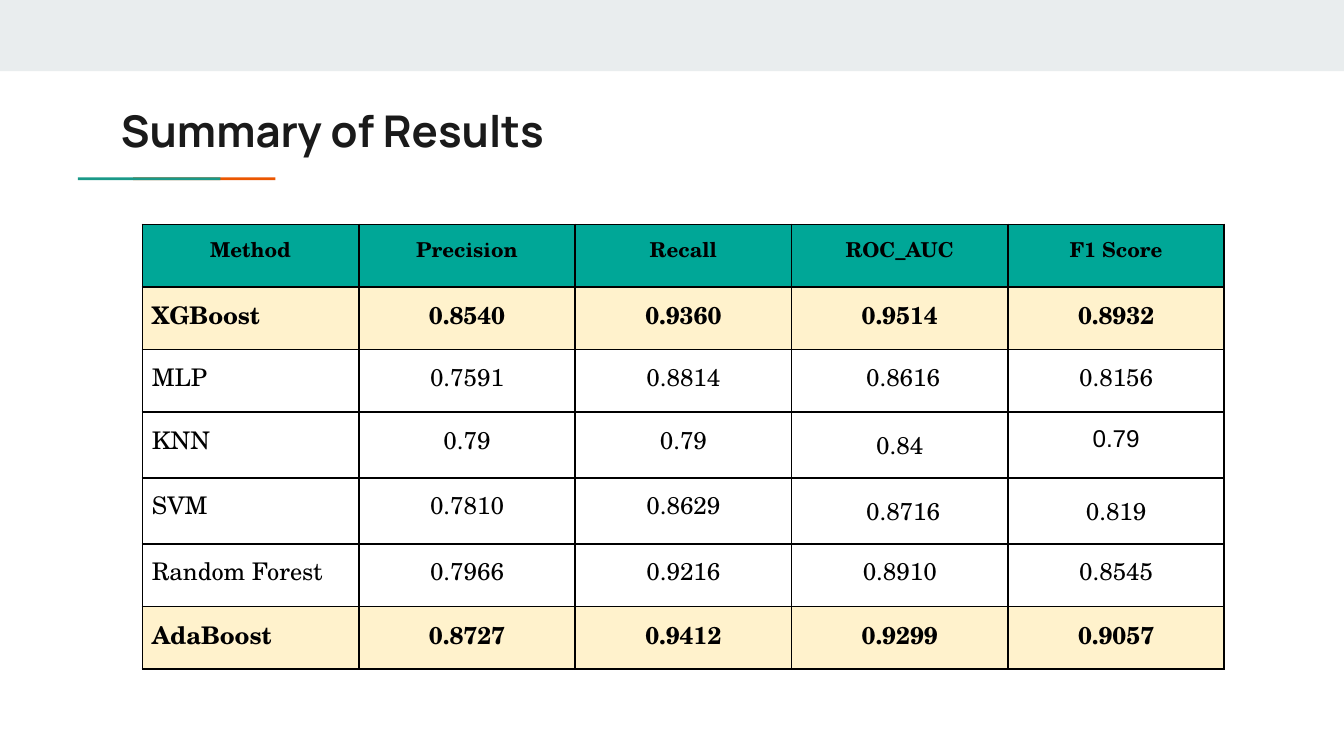
from lxml import etree
from pptx import Presentation
from pptx import util as u
from pptx.dml import color
from pptx.enum import shapes, text
from pptx.oxml import ns

COLORS = {
    "band": "E9EDEE",
    "orange": "EB5600",
    "teal": "1A9988",
    "title": "1A1A1A",
    "header": "00A797",
    "highlight": "FFF2CC",
    "black": "000000",
}
TABLE_FONT = "TeX Gyre Schola"
RESULTS = [
    ["Method", "Precision", "Recall", "ROC_AUC", "F1 Score"],
    ["XGBoost", "0.8540", "0.9360", "0.9514", "0.8932"],
    ["MLP", "0.7591", "0.8814", " 0.8616", "0.8156"],
    ["KNN", "0.79", "0.79", "0.84", "0.79"],
    ["SVM", "0.7810", "0.8629", " 0.8716", "0.819"],
    ["Random Forest", "0.7966", "0.9216", "0.8910", "0.8545"],
    ["AdaBoost", "0.8727", "0.9412", "0.9299", "0.9057"],
]
ROW_FILLS = {0: "header", 1: "highlight", 6: "highlight"}
TALL_ROWS = (3, 4)
LOOSE_COLUMNS = (3, 4)
ARIAL_CELL = (3, 4)
TABLE_HEIGHT = 3.31
TALL_HEIGHT = 0.49


def rgb(name):
    return color.RGBColor.from_string(COLORS[name])


def add_bar(slide, fill, left, top, width, height):
    bar = slide.shapes.add_shape(
        shapes.MSO_SHAPE.RECTANGLE,
        u.Inches(left), u.Inches(top), u.Inches(width), u.Inches(height))
    bar.shadow.inherit = False
    bar.fill.solid()
    bar.fill.fore_color.rgb = rgb(fill)
    bar.line.fill.background()


def style_run(run, font, size, bold, color_name):
    run.font.name = font
    run.font.size = u.Pt(size)
    run.font.bold = bold
    run.font.color.rgb = rgb(color_name)


def set_title(slide, wording):
    title = slide.shapes.title
    title.left, title.top = u.Inches(0.8), u.Inches(0.67)
    title.width, title.height = u.Inches(8.41), u.Inches(0.59)
    frame = title.text_frame
    frame.text = wording
    frame.word_wrap = True
    frame.auto_size = text.MSO_AUTO_SIZE.NONE
    frame.vertical_anchor = text.MSO_ANCHOR.TOP
    frame.margin_left = frame.margin_right = u.Inches(0.1)
    frame.margin_top = frame.margin_bottom = u.Inches(0.1)
    heading = frame.paragraphs[0]
    heading.alignment = text.PP_ALIGN.LEFT
    heading.line_spacing = 1.0
    style_run(heading.runs[0], "Manrope", 23.4, True, "title")


def add_borders(cell):
    properties = cell._tc.get_or_add_tcPr()
    for side in ("a:lnL", "a:lnR", "a:lnT", "a:lnB"):
        border = etree.SubElement(properties, ns.qn(side), w=str(u.Pt(1)))
        fill = etree.SubElement(border, ns.qn("a:solidFill"))
        etree.SubElement(fill, ns.qn("a:srgbClr"), val=COLORS["black"])


def fill_cell(cell, row, column):
    cell.margin_left = cell.margin_right = u.Inches(0.07)
    cell.margin_top = cell.margin_bottom = u.Inches(0.07)
    cell.vertical_anchor = text.MSO_ANCHOR.TOP
    add_borders(cell)
    if row in ROW_FILLS:
        cell.fill.solid()
        cell.fill.fore_color.rgb = rgb(ROW_FILLS[row])
    else:
        cell.fill.background()
    cell.text_frame.text = RESULTS[row][column]
    entry = cell.text_frame.paragraphs[0]
    is_name = column == 0 and row > 0
    entry.alignment = text.PP_ALIGN.LEFT if is_name else text.PP_ALIGN.CENTER
    if row in TALL_ROWS and column in LOOSE_COLUMNS:
        entry.line_spacing = 1.15
    font = "Arial" if (row, column) == ARIAL_CELL else TABLE_FONT
    style_run(entry.runs[0], font, 13 if row else 11, row in ROW_FILLS, "black")


def add_results_table(slide):
    row_count, column_count = len(RESULTS), len(RESULTS[0])
    column_width = 1.61
    tall_count = len(TALL_ROWS)
    short_height = (TABLE_HEIGHT - tall_count * TALL_HEIGHT) / (row_count - tall_count)
    table = slide.shapes.add_table(
        row_count, column_count, u.Inches(1.06), u.Inches(1.67),
        u.Inches(column_width * column_count), u.Inches(TABLE_HEIGHT)).table
    for column in table.columns:
        column.width = u.Inches(column_width)
    for row in range(row_count):
        height = TALL_HEIGHT if row in TALL_ROWS else short_height
        table.rows[row].height = u.Inches(height)
        for column in range(column_count):
            fill_cell(table.cell(row, column), row, column)


def main():
    deck = Presentation()
    deck.slide_width = u.Inches(10)
    deck.slide_height = u.Inches(10 * 9 / 16)
    slide = deck.slides.add_slide(deck.slide_layouts[5])
    add_bar(slide, "band", 0, 0, 10, 0.53)
    add_bar(slide, "orange", 0.99, 1.32, 1.06, 0.02)
    add_bar(slide, "teal", 0.58, 1.32, 1.06, 0.02)
    set_title(slide, "Summary of Results")
    add_results_table(slide)
    deck.save("out.pptx")


if __name__ == "__main__":
    main()
